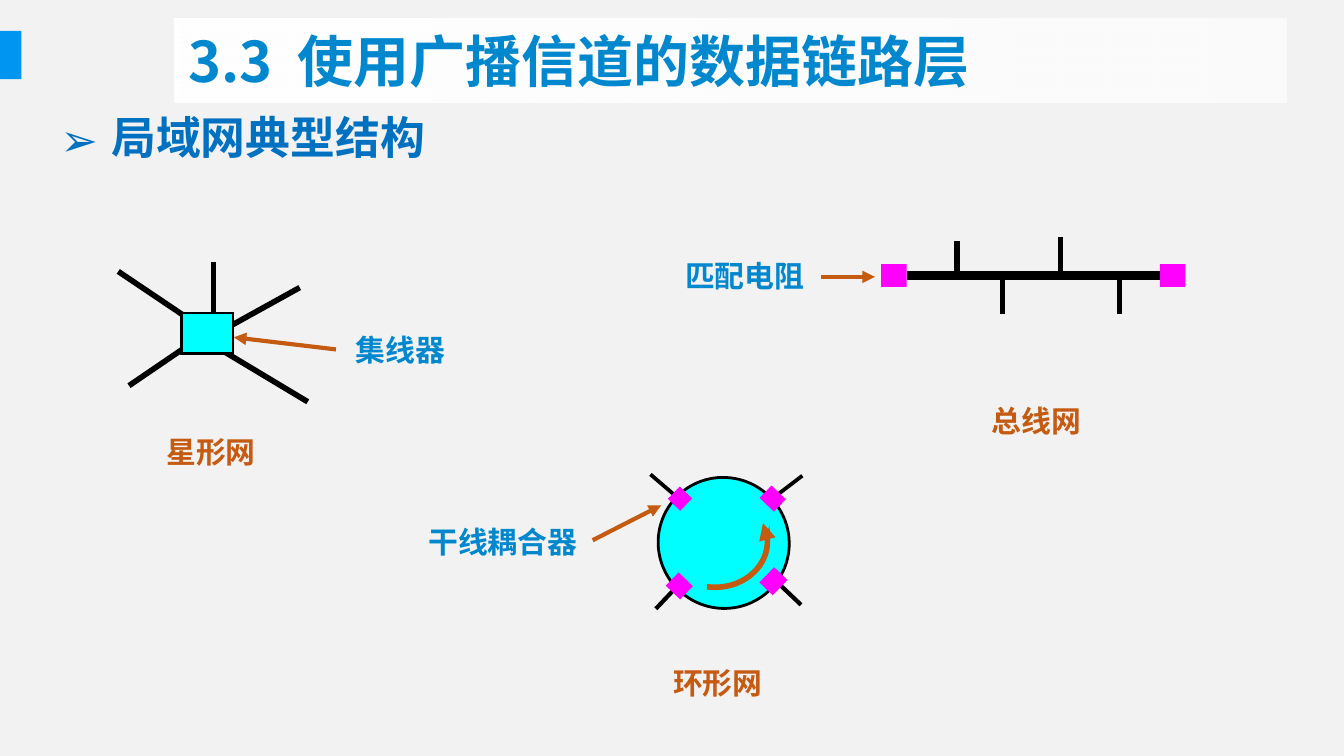
"""Build a slide comparing star, bus and ring local network layouts."""
from lxml.etree import SubElement
from pptx import Presentation
from pptx.dml.color import RGBColor
from pptx.enum.shapes import MSO_CONNECTOR, MSO_SHAPE
from pptx.enum.text import MSO_ANCHOR, MSO_AUTO_SIZE, PP_ALIGN
from pptx.oxml.ns import qn
from pptx.util import Inches, Pt

THEME = {
    "font": "Noto Sans CJK SC",
    "title_size": 30, "topic_size": 24, "label_size": 16,
    "paper": RGBColor.from_string("F2F2F2"),
    "white": RGBColor.from_string("FFFFFF"),
    "accent": RGBColor.from_string("0095F0"),
    "title": RGBColor.from_string("0087CD"),
    "topic": RGBColor.from_string("0070C0"),
    "network": RGBColor.from_string("C55A11"),
    "cable": RGBColor.from_string("000000"),
    "device": RGBColor.from_string("00FFFF"),
    "joint": RGBColor.from_string("FF00FF"),
}

deck = Presentation()
deck.slide_width, deck.slide_height = Inches(10), Inches(10 * 9 / 16)
COLUMN = deck.slide_width / 100
ROW = deck.slide_height / 56.25
slide = deck.slides.add_slide(deck.slide_layouts[5])
slide.background.fill.solid()
slide.background.fill.fore_color.rgb = THEME["paper"]


def block(kind, left, top, width, height, fill, line=None, weight=0, turn=0):
    """Add a filled shape placed in grid columns and rows."""
    shape = slide.shapes.add_shape(
        kind, int(left * COLUMN), int(top * ROW), int(width * COLUMN), int(height * ROW))
    shape.shadow.inherit = False
    shape.rotation = turn
    shape.fill.solid()
    shape.fill.fore_color.rgb = THEME[fill]
    if line:
        shape.line.color.rgb = THEME[line]
        shape.line.width = Pt(weight)
        SubElement(shape.line._get_or_add_ln(), qn("a:miter"), lim="800000")
    else:
        shape.line.fill.background()
    return shape


def wire(x1, y1, x2, y2, weight, colour="cable", arrow=False):
    """Add a straight connector, with an arrowhead at its end if asked."""
    connector = slide.shapes.add_connector(
        MSO_CONNECTOR.STRAIGHT, int(x1 * COLUMN), int(y1 * ROW), int(x2 * COLUMN), int(y2 * ROW))
    connector.line.color.rgb = THEME[colour]
    connector.line.width = Pt(weight)
    if arrow:
        SubElement(connector.line._get_or_add_ln(), qn("a:tailEnd"), type="triangle")
    SubElement(connector._element.spPr, qn("a:effectLst"))
    return connector


block(MSO_SHAPE.RECTANGLE, -0.1, 2.3, 1.7, 3.6, "accent")

resistors = [block(MSO_SHAPE.RECTANGLE, left, 19.65, 1.9, 1.7, "joint") for left in (65.55, 86.3)]
bus = wire(67.45, 20.5, 86.3, 20.5, 4.5)
bus.begin_connect(resistors[0], 3)
bus.end_connect(resistors[1], 1)
for x, tip in ((71.2, 17.9), (74.6, 23.4), (78.9, 17.6), (83.3, 23.4)):
    wire(x, 20.5, x, tip, 3)
wire(61.1, 20.6, 65.1, 20.6, 2.25, "network", arrow=True)

for ring_branch in ((50.5, 37.1, 48.4, 35.3, 2), (59.7, 35.4, 57.6, 37, 2),
                    (59.6, 45, 57.7, 43.2, 2.25), (50.5, 43.5, 48.8, 45.3, 2.25)):
    wire(*ring_branch)
block(MSO_SHAPE.OVAL, 49, 35.5, 9.7, 9.8, "device", "cable", 1.5, turn=314)
for coupler in ((50.1, 36.6, 1, 1), (56.9, 42.7, 1.3, 1.1), (57, 36.5, 1, 1.2), (50, 43, 1.1, 1.2)):
    block(MSO_SHAPE.RECTANGLE, *coupler, "joint", "joint", 2, turn=314)
wire(44.1, 40.2, 49.2, 37.6, 2.25, "network", arrow=True)
flow = block(MSO_SHAPE.ARC, 49.3, 36.9, 7.8, 6.8, "device", "network", 3)
flow.fill.background()
for index, degrees in enumerate((339, 100)):
    flow.adjustments[index] = degrees * 0.6
SubElement(flow.line._get_or_add_ln(), qn("a:headEnd"), type="triangle")

for star_branch in ((14.3, 23.9, 8.8, 20.2), (15.9, 23.9, 15.9, 19.5), (14, 25.7, 9.6, 28.7),
                    (15.9, 25.7, 22.9, 29.9), (16.7, 24.5, 22.3, 21.4)):
    wire(*star_branch, 3)
block(MSO_SHAPE.RECTANGLE, 13.5, 23.3, 3.85, 3, "device", "cable", 1.5)
wire(25, 26, 17.4, 25.1, 2.25, "network", arrow=True)

heading = slide.shapes.title
topic = slide.shapes.add_textbox(int(3.5 * COLUMN), int(7.7 * ROW), int(92.1 * COLUMN), int(5 * ROW))
for name, value in {"left": 13, "top": 1.35, "width": 82.7, "height": 6.3}.items():
    setattr(heading, name, int(value * COLUMN))
heading.fill.gradient()
heading.fill.gradient_angle = 0
for stop in heading.fill.gradient_stops:
    stop.color.rgb = THEME["white"]
fade = heading._element.spPr.findall(".//" + qn("a:srgbClr"))[-1]
SubElement(fade, qn("a:alpha"), val="67000")

bullet = topic.text_frame.paragraphs[0]._p.get_or_add_pPr()
for name, value in {"marL": Inches(0.38), "indent": -Inches(0.38)}.items():
    bullet.set(name, str(value))
SubElement(bullet, qn("a:buFont"), typeface=THEME["font"])
SubElement(bullet, qn("a:buChar"), char="➢")

writing = [
    (heading, "3.3  使用广播信道的数据链路层", "title_size", "title", True),
    (topic, "局域网典型结构", "topic_size", "topic", True),
]
for wording, left, top, colour in (
        ("总线网", 72.8, 29.5, "network"), ("匹配电阻", 50, 18.7, "title"),
        ("干线耦合器", 30.9, 38.5, "title"), ("环形网", 49.1, 49, "network"),
        ("星形网", 11.4, 31.8, "network"), ("集线器", 25.5, 24.2, "title")):
    label = slide.shapes.add_textbox(
        int(left * COLUMN), int(top * ROW), int((2 + 2.25 * len(wording)) * COLUMN), int(3.7 * ROW))
    writing.append((label, wording, "label_size", colour, False))

for holder, wording, size, colour, wrap in writing:
    frame = holder.text_frame
    for name, value in {"word_wrap": wrap, "auto_size": MSO_AUTO_SIZE.NONE}.items():
        setattr(frame, name, value)
    paragraph = frame.paragraphs[0]
    paragraph.alignment = PP_ALIGN.LEFT
    run = paragraph.add_run()
    run.text = wording
    for name, value in {"name": THEME["font"], "size": Pt(THEME[size]), "bold": True}.items():
        setattr(run.font, name, value)
    run.font.color.rgb = THEME[colour]
    SubElement(run._r.get_or_add_rPr(), qn("a:ea"), typeface=THEME["font"])
heading.text_frame.vertical_anchor = MSO_ANCHOR.MIDDLE

deck.save("out.pptx")
